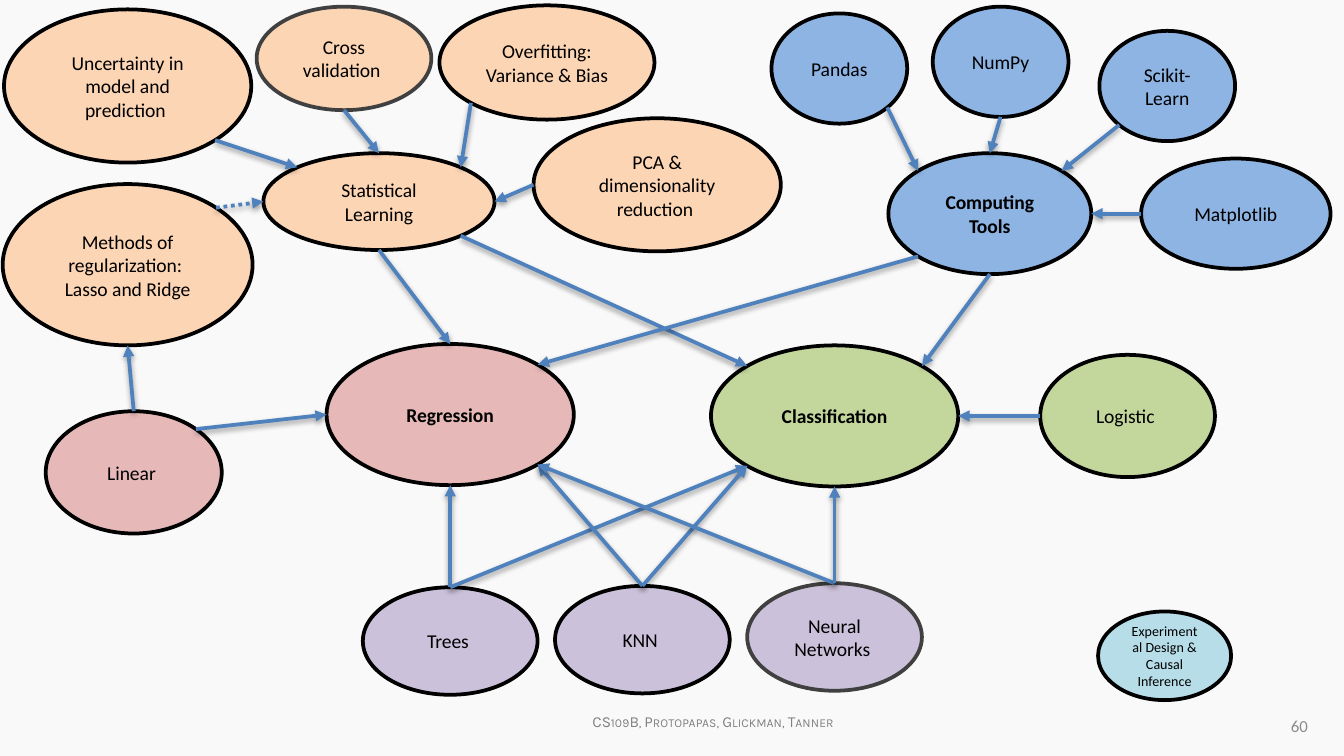
from math import cos, radians, sin
from typing import NamedTuple

from pptx import Presentation
from pptx.dml.color import RGBColor
from pptx.enum.dml import MSO_LINE
from pptx.enum.shapes import MSO_CONNECTOR, MSO_SHAPE
from pptx.enum.text import MSO_ANCHOR, PP_ALIGN
from pptx.oxml import parse_xml
from pptx.oxml.ns import nsdecls, qn
from pptx.util import Inches, Pt

# Palette
PEACH, ROSE, GREEN = "FCD5B5", "E6B9B8", "C3D69B"
BLUE, PURPLE, AQUA = "8EB4E3", "CCC1DA", "B7DEE8"
BLACK, DARK_GRAY, ARROW = "000000", "404040", "4F81BD"

# Direction of each connection point on an ellipse, in degrees
ANGLES = {"E": 0, "SE": 45, "S": 90, "SW": 135, "W": 180, "NW": 225, "N": 270, "NE": 315}


class Node(NamedTuple):
    text: str
    left: float
    top: float
    width: float
    height: float
    fill: str
    outline: str = BLACK
    bold: bool = False
    size: float = 10.5

    def point(self, side: str) -> tuple[float, float]:
        a = radians(ANGLES[side])
        return (self.left + self.width / 2 * (1 + cos(a)),
                self.top + self.height / 2 * (1 + sin(a)))


class Link(NamedTuple):
    start: str
    start_side: str
    end: str
    end_side: str
    dotted: bool = False


NODES = {
    # Statistical learning
    "stats": Node("Statistical Learning", 1.96, 1.14, 1.72, 0.72, PEACH),
    "uncertainty": Node("Uncertainty in model and prediction ", 0.03, 0.07, 1.84, 1.14, PEACH),
    "cross": Node("Cross validation ", 1.91, 0.05, 1.3, 0.77, PEACH, DARK_GRAY),
    "overfit": Node("Overfitting: Variance & Bias", 3.27, 0.04, 1.6, 0.85, PEACH),
    "regular": Node("Methods of regularization: \nLasso and Ridge", 0.02, 1.37, 1.86, 1.2, PEACH),
    "pca": Node("PCA & dimensionality reduction ", 3.97, 0.88, 1.84, 0.99, PEACH),
    # Computing tools
    "tools": Node("Computing Tools", 6.61, 1.14, 1.51, 0.9, BLUE, bold=True),
    "pandas": Node("Pandas", 5.74, 0.1, 1.01, 0.82, BLUE),
    "numpy": Node("NumPy", 6.94, 0.05, 1.01, 0.82, BLUE),
    "scikit": Node("Scikit-Learn", 8.18, 0.23, 1.01, 0.82, BLUE),
    "matplotlib": Node("Matplotlib", 8.49, 1.18, 1.41, 0.82, BLUE),
    # Regression and classification
    "regression": Node("Regression", 2.43, 2.56, 1.84, 1.05, ROSE, bold=True),
    "linear": Node("Linear ", 0.34, 3.06, 1.31, 0.91, ROSE),
    "classification": Node("Classification", 5.29, 2.57, 1.84, 1.05, GREEN, bold=True),
    "logistic": Node("Logistic ", 7.74, 2.64, 1.3, 0.91, GREEN),
    # Methods shared by both
    "trees": Node("Trees ", 2.7, 4.37, 1.3, 0.8, PURPLE),
    "knn": Node("KNN ", 4.13, 4.36, 1.3, 0.8, PURPLE),
    "neural": Node("Neural Networks ", 5.56, 4.34, 1.3, 0.8, PURPLE, DARK_GRAY),
    "design": Node("Experimental Design & Causal Inference", 8.17, 4.55, 0.99, 0.66, AQUA, size=7.5),
}

LINKS = [
    Link("uncertainty", "SE", "stats", "NW"),
    Link("cross", "S", "stats", "N"),
    Link("overfit", "SW", "stats", "NE"),
    Link("pca", "W", "stats", "E"),
    Link("regular", "NE", "stats", "W", dotted=True),
    Link("stats", "S", "regression", "N"),
    Link("stats", "SE", "classification", "NW"),
    Link("pandas", "SE", "tools", "NW"),
    Link("numpy", "S", "tools", "N"),
    Link("scikit", "SW", "tools", "NE"),
    Link("matplotlib", "W", "tools", "E"),
    Link("tools", "SW", "regression", "NE"),
    Link("tools", "S", "classification", "NE"),
    Link("linear", "N", "regular", "S"),
    Link("linear", "NE", "regression", "W"),
    Link("logistic", "W", "classification", "E"),
    Link("trees", "N", "regression", "S"),
    Link("trees", "N", "classification", "SW"),
    Link("knn", "N", "regression", "SE"),
    Link("knn", "N", "classification", "SW"),
    Link("neural", "N", "regression", "SE"),
    Link("neural", "N", "classification", "S"),
]


def rgb(color: str) -> RGBColor:
    return RGBColor.from_string(color)


def style_paragraph(p, size: float, color: str, align, font: str = "Calibri", bold: bool = False) -> None:
    p.alignment = align
    p.font.name, p.font.size, p.font.bold = font, Pt(size), bold
    p.font.color.rgb = rgb(color)


def draw_node(s, node: Node) -> None:
    sp = s.shapes.add_shape(MSO_SHAPE.OVAL, Inches(node.left), Inches(node.top),
                            Inches(node.width), Inches(node.height))
    sp.shadow.inherit = False
    sp.fill.solid()
    sp.fill.fore_color.rgb = rgb(node.fill)
    sp.line.color.rgb = rgb(node.outline)
    sp.line.width = Pt(2)
    tf = sp.text_frame
    tf.word_wrap = True
    tf.vertical_anchor = MSO_ANCHOR.MIDDLE
    tf.margin_left = tf.margin_right = Inches(0.09)
    tf.margin_top = tf.margin_bottom = Inches(0.04)
    tf.text = node.text
    for p in tf.paragraphs:
        style_paragraph(p, node.size, BLACK, PP_ALIGN.CENTER, bold=node.bold)


def draw_link(s, link: Link) -> None:
    start = NODES[link.start].point(link.start_side)
    end = NODES[link.end].point(link.end_side)
    cxn = s.shapes.add_connector(MSO_CONNECTOR.STRAIGHT, *(Inches(v) for v in start + end))
    cxn.line.color.rgb = rgb(ARROW)
    cxn.line.width = Pt(2)
    if link.dotted:
        cxn.line.dash_style = MSO_LINE.ROUND_DOT
    # Arrowhead and soft shadow
    sp_pr = cxn._element.spPr
    sp_pr.find(qn("a:ln")).append(parse_xml(f'<a:tailEnd {nsdecls("a")} type="triangle"/>'))
    sp_pr.append(parse_xml(
        f'<a:effectLst {nsdecls("a")}>'
        f'<a:outerShdw blurRad="{Pt(3.1)}" dist="{Pt(1.6)}" dir="5400000" rotWithShape="0">'
        f'<a:srgbClr val="{BLACK}"><a:alpha val="38000"/></a:srgbClr>'
        '</a:outerShdw></a:effectLst>'))


def add_label(s, text: str, left: float, width: float, height: float, wrap: bool):
    box = s.shapes.add_textbox(Inches(left), Inches(5.25), Inches(width), Inches(height))
    tf = box.text_frame
    tf.word_wrap = wrap
    tf.vertical_anchor = MSO_ANCHOR.MIDDLE
    tf.text = text
    return tf.paragraphs[0]


def main() -> None:
    prs = Presentation()
    # Widescreen, 16:9
    prs.slide_width = Inches(10)
    prs.slide_height = prs.slide_width * 9 // 16
    s = prs.slides.add_slide(prs.slide_layouts[6])
    s.background.fill.solid()
    s.background.fill.fore_color.rgb = rgb("F9F9F9")

    # Concept map
    for node in NODES.values():
        draw_node(s, node)
    for link in LINKS:
        draw_link(s, link)

    # Footer in small capitals, and page number
    p = add_label(s, "CS109B, Protopapas, Glickman, Tanner", 4.31, 2.09, 0.24, wrap=False)
    style_paragraph(p, 8.2, "808080", PP_ALIGN.LEFT, font="Karla")
    p.runs[0]._r.get_or_add_rPr().set("cap", "small")
    p = add_label(s, "60", 7.5, 2.33, 0.3, wrap=True)
    style_paragraph(p, 9, "8C8C8C", PP_ALIGN.RIGHT)

    prs.save("out.pptx")


if __name__ == "__main__":
    main()
